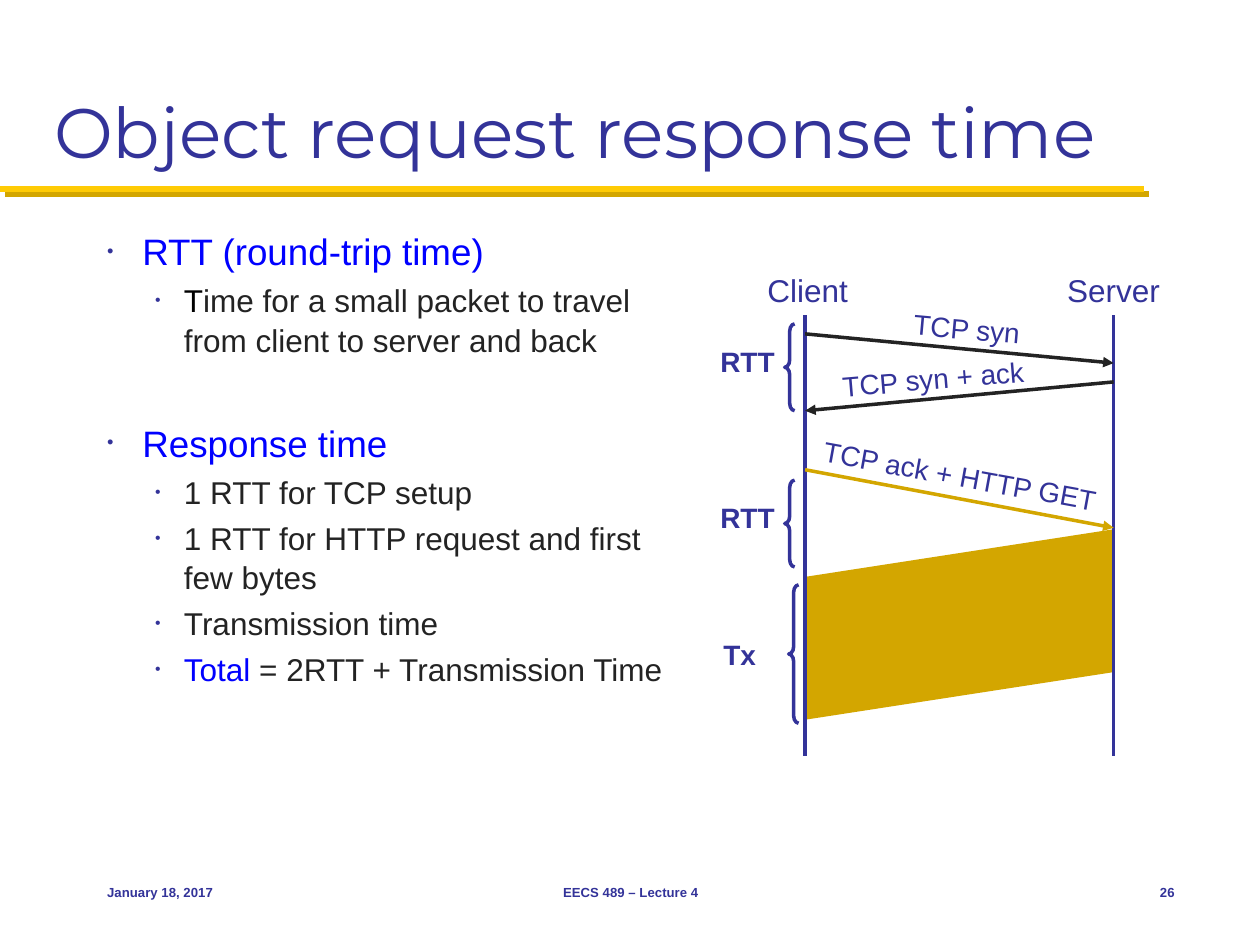
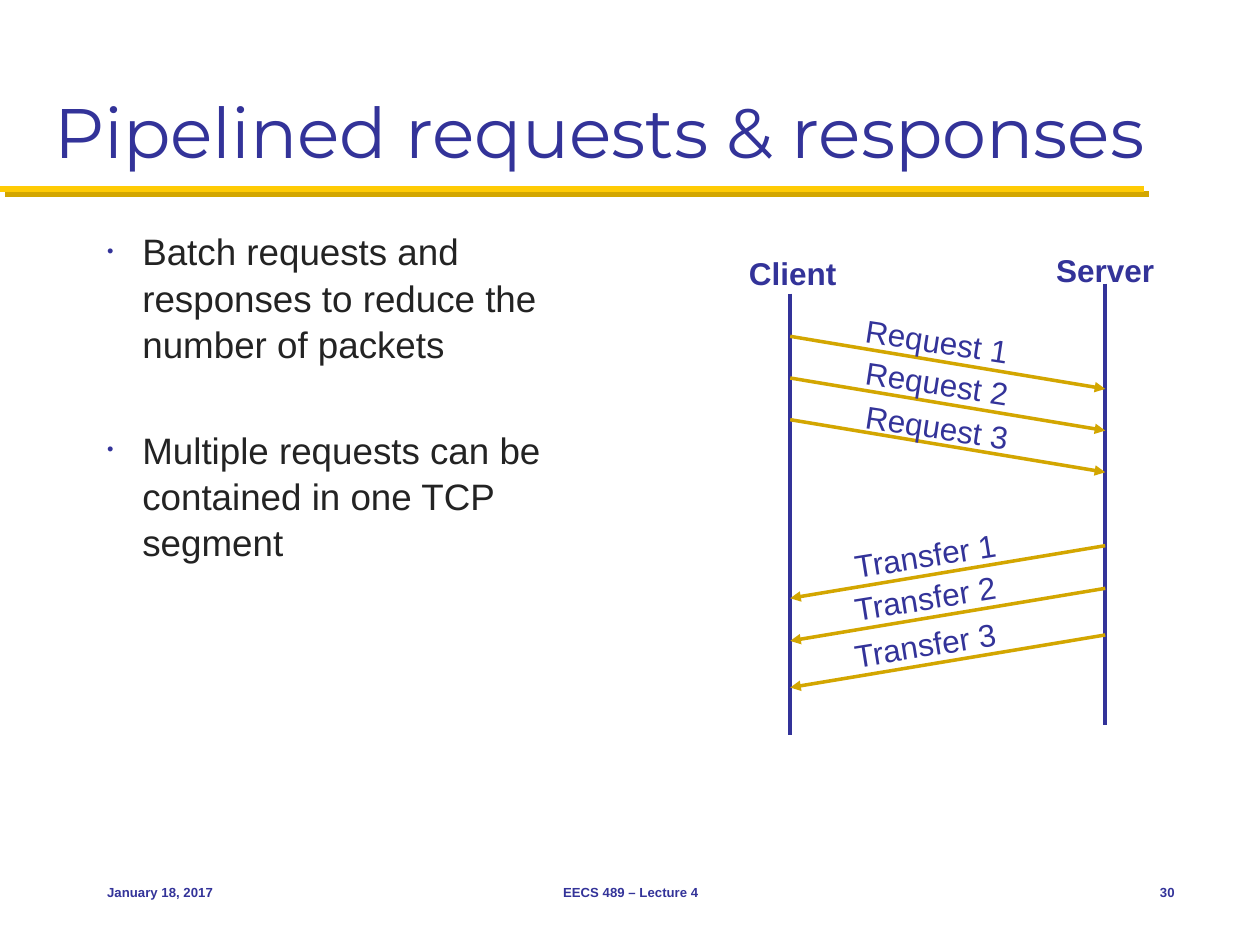
import pptx
import pptx.dml.color
import pptx.enum.shapes
import pptx.enum.text
import pptx.oxml
import pptx.oxml.ns
import pptx.util
from lxml import etree

Cm = pptx.util.Cm
Pt = pptx.util.Pt
Align = pptx.enum.text.PP_ALIGN
Anchor = pptx.enum.text.MSO_ANCHOR
Shape = pptx.enum.shapes.MSO_SHAPE


class Theme:
    navy = "333399"
    blue = "0000FF"
    ink = "232323"
    black = "000000"
    gold = "D3A600"
    maize = "FFCB05"
    font = "Arial"
    head = "Montserrat"
    title = 40
    levels = (21, 18)
    name = 18
    note = 16
    foot = 7.5
    line = 2
    rule = 3.5


def rgb(code):
    return pptx.dml.color.RGBColor.from_string(code)


def child(node, tag, **attrs):
    return etree.SubElement(node, pptx.oxml.ns.qn(tag), **attrs)


def style(font, size, color=Theme.navy, bold=False, face=Theme.font):
    font.name = face
    font.size = Pt(size)
    font.bold = bold
    font.color.rgb = rgb(color)


def frame(slide, box, anchor=Anchor.TOP, wrap=True):
    shape = slide.shapes.add_textbox(*map(Cm, box))
    shape.text_frame.word_wrap = wrap
    shape.text_frame.vertical_anchor = anchor
    return shape


def write(shape, text, size, align=Align.LEFT, **look):
    para = shape.text_frame.paragraphs[0]
    para.text = text
    para.alignment = align
    style(para.font, size, **look)


def label(slide, x, y, text, size, turn=0, bold=False):
    wide, high = 0.3 * len(text) + 0.9, size * 0.04 + 0.3
    shape = frame(slide, (x - wide / 2, y - high / 2, wide, high),
                  Anchor.MIDDLE, False)
    write(shape, text, size, Align.CENTER, bold=bold)
    shape.rotation = turn


def stroke(slide, start, end, color, width=Theme.line, arrow=False):
    line = slide.shapes.add_connector(
        pptx.enum.shapes.MSO_CONNECTOR.STRAIGHT, *map(Cm, start + end))
    line.line.color.rgb = rgb(color)
    line.line.width = Pt(width)
    if arrow:
        child(line.line._get_or_add_ln(), "a:tailEnd", type="triangle")
    return child(line._element.spPr, "a:effectLst")


def base(deck, title, number):
    slide = deck.slides.add_slide(deck.slide_layouts[6])
    glow = stroke(slide, (0, 3.81), (23.06, 3.81), Theme.maize, Theme.rule)
    cast = child(glow, "a:outerShdw", dist=str(Pt(4.2)), dir="2700000",
                 algn="ctr", rotWithShape="0")
    child(cast, "a:srgbClr", val=Theme.gold)
    write(frame(slide, (0.84, 0.43, 23.7, 3.18), Anchor.BOTTOM),
          title, Theme.title, face=Theme.head)
    for left, wide, text, align in (
            (1.91, 5.28, "January 18, 2017", Align.LEFT),
            (8.69, 8.05, "EECS 489 – Lecture 4", Align.CENTER),
            (22.23, 1.7, number, Align.RIGHT)):
        shape = frame(slide, (left, 17.35, wide, 1.27), Anchor.MIDDLE)
        write(shape, text, Theme.foot, align, bold=True)
    return slide


def bullet(para, level):
    props = para._p.get_or_add_pPr()
    margin, hang = ((0.71, 0.71), (1.55, 0.58))[level]
    props.set("marL", str(Cm(margin)))
    props.set("indent", str(-Cm(hang)))
    tint = child(props, "a:buClr")
    child(tint, "a:srgbClr", val=Theme.navy)
    child(props, "a:buSzPct", val="50000")
    child(props, "a:buFont", typeface=Theme.font)
    child(props, "a:buChar", char="•")


def body(slide, box, items):
    text = frame(slide, box).text_frame
    for order, (level, runs) in enumerate(items):
        para = text.add_paragraph() if order else text.paragraphs[0]
        size = Theme.levels[level]
        para.level = level
        para.line_spacing = 1.05
        if order:
            para.space_before = Pt(3.6 if level else 34)
        bullet(para, level)
        if len(runs) == 1:
            para.text = runs[0][0]
            style(para.font, size, runs[0][1])
            continue
        for words, color in runs:
            run = para.add_run()
            run.text = words
            style(run.font, size, color)


def posts(slide, box, heads, bold=False):
    left, top, wide, high = box
    for x, (text, shift, drop, gap) in zip((left, left + wide), heads):
        stroke(slide, (x, top + drop), (x, top + drop + high), Theme.navy)
        label(slide, x + shift, top + drop - gap, text, Theme.name, bold=bold)


def send(slide, box, first, last, color, text, spot, size, turn, back=False):
    left, top, wide, high = box
    ends = (left + wide, left) if back else (left, left + wide)
    stroke(slide, (ends[0], top + first), (ends[1], top + last), color,
           arrow=True)
    label(slide, left + spot[0], top + spot[1], text, size, turn)


def brace(slide, box, x, y, high, text, spot):
    left, top = box[:2]
    shape = slide.shapes.add_shape(
        Shape.LEFT_BRACE, Cm(left + x), Cm(top + y), Cm(0.2), Cm(high))
    shape.shadow.inherit = False
    shape.adjustments[0] = 0.75
    shape.fill.background()
    shape.line.color.rgb = rgb(Theme.navy)
    shape.line.width = Pt(Theme.line)
    label(slide, left + spot[0], top + spot[1], text, Theme.note, bold=True)


def band(slide, box):
    left, top, wide, high = box
    shape = slide.shapes.add_shape(
        Shape.PARALLELOGRAM, Cm(left + (wide - high) / 2),
        Cm(top + (high - wide) / 2), Cm(high), Cm(wide))
    shape.shadow.inherit = False
    shape.adjustments[0] = 0.25
    shape.fill.solid()
    shape.fill.fore_color.rgb = rgb(Theme.gold)
    shape.line.fill.background()
    shape.rotation = 270
    shape._element.spPr.xfrm.set("flipH", "1")


def timing(slide, box):
    left, top, wide, high = box
    band(slide, (left, top + 4.32, wide, 3.84))
    posts(slide, box, (("Client", 0.05, 0, 0.51), ("Server", 0, 0, 0.51)))
    for first, last, color, text, spot, turn, back in (
            (0.38, 0.97, Theme.ink, "TCP syn", (3.26, 0.27), 5.1, False),
            (1.35, 1.93, Theme.ink, "TCP syn + ack", (2.58, 1.28), -4.8, True),
            (3.12, 4.29, Theme.gold, "TCP ack + HTTP GET", (3.12, 3.24),
             10.4, False)):
        send(slide, box, first, last, color, text, spot, Theme.note, turn,
             back)
    for x, y, tall, text, spot in (
            (-0.41, 0.18, 1.75, "RTT", (-1.16, 0.93)),
            (-0.41, 3.33, 1.75, "RTT", (-1.16, 4.08)),
            (-0.33, 5.44, 2.79, "Tx", (-1.32, 6.85))):
        brace(slide, box, x, y, tall, text, spot)


def pipeline(slide, box):
    posts(slide, box, (("Client", 0.05, 0, 0.42), ("Server", 0, -0.2, 0.27)),
          bold=True)
    for word, x, turn, back, rows in (
            ("Request", 2.96, 8.7, False,
             ((0.86, 0.09), (1.7, 0.09), (2.54, 0.14))),
            ("Transfer", 2.72, -9.1, True,
             ((5.08, 0.19), (5.94, 0.19), (6.88, 0.19)))):
        for order, (y, shift) in enumerate(rows, 1):
            send(slide, box, y, y + 1.06, Theme.gold, f"{word} {order}",
                 (x, y + shift), Theme.name, turn, back)


def main():
    deck = pptx.Presentation()
    deck.slide_width, deck.slide_height = Cm(25.4), Cm(19.05)

    slide = base(deck, "Object request response time", "26")
    body(slide, (1.91, 4.45, 12.04, 12.27), (
        (0, [("RTT (round-trip time)", Theme.blue)]),
        (1, [("T", Theme.black),
             ("ime for a small packet to travel from client to server "
              "and back", Theme.ink)]),
        (0, [("Response time", Theme.blue)]),
        (1, [("1 RTT for TCP setup", Theme.ink)]),
        (1, [("1 RTT for HTTP request and first few bytes", Theme.ink)]),
        (1, [("Transmission time", Theme.ink)]),
        (1, [("Total", Theme.blue),
             (" = 2RTT + Transmission Time", Theme.ink)])))
    timing(slide, (16.23, 6.35, 6.22, 8.89))

    slide = base(deck, "Pipelined requests & responses", "30")
    body(slide, (1.91, 4.45, 10.8, 12.27), (
        (0, [("Batch requests and responses to reduce the number of packets",
              Theme.ink)]),
        (0, [("Multiple requests can be contained in one TCP segment",
              Theme.ink)])))
    pipeline(slide, (15.93, 5.92, 6.35, 8.89))

    deck.save("out.pptx")


main()
